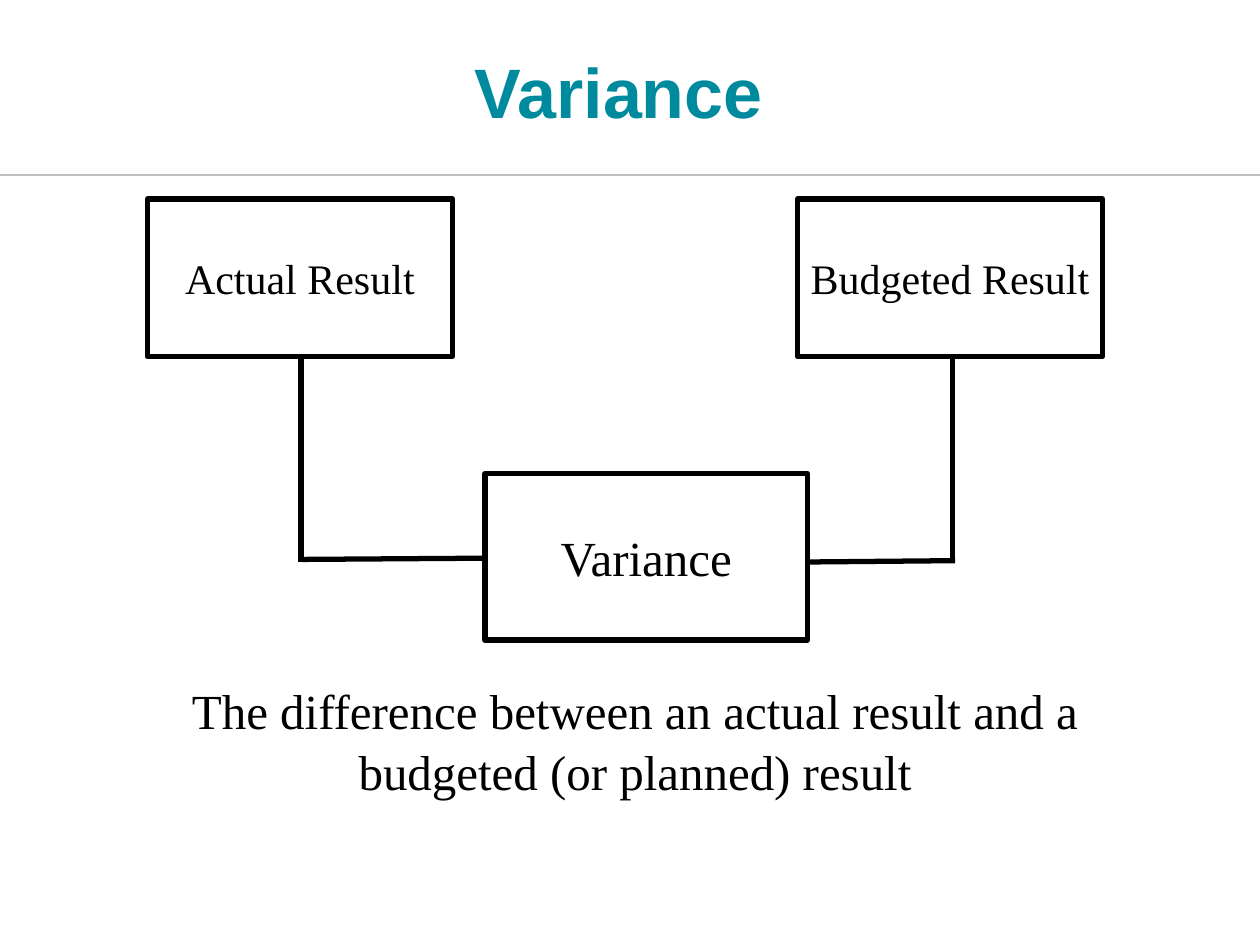
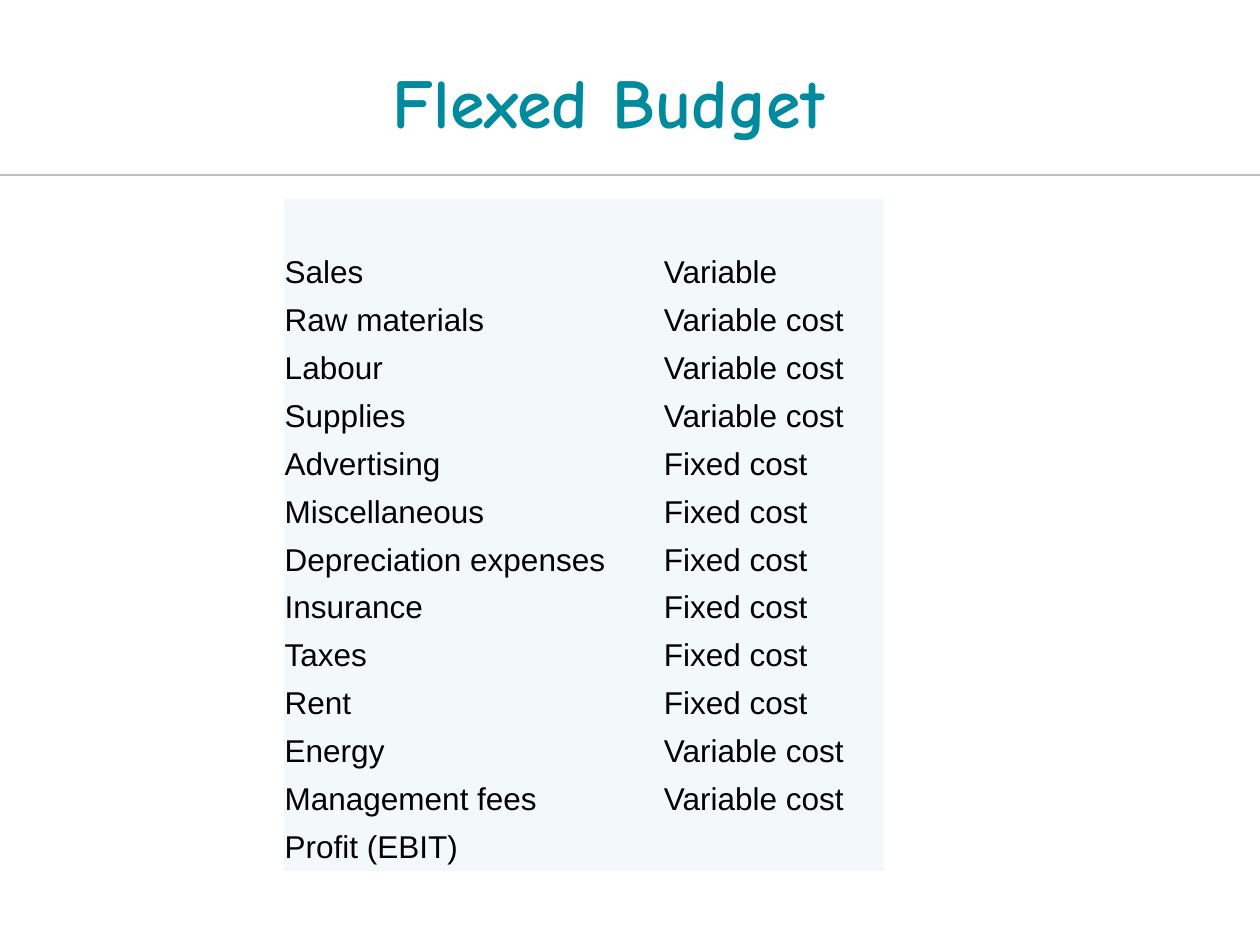
from lxml.etree import SubElement
from pptx import Presentation
from pptx.dml.color import RGBColor
from pptx.enum.shapes import MSO_CONNECTOR, MSO_SHAPE
from pptx.enum.text import MSO_ANCHOR, PP_ALIGN
from pptx.oxml.ns import qn
from pptx.util import Inches, Pt

COLOURS = {
    "title": "008A9E",
    "text": "000000",
    "divider": "BFBFBF",
    "table": "F3F9FA",
}
BODY_FONT = "Times New Roman"
TABLE_FONT = "Arial"
NO_GRID_STYLE = "{2D5ABB26-0587-4C30-8999-92F81FD0307C}"

presentation = Presentation()
presentation.slide_width = Inches(10)
presentation.slide_height = Inches(7.5)
column = presentation.slide_width / 100
row = presentation.slide_height / 100


def write(paragraph, text, font, size, colour="text", bold=False, align=PP_ALIGN.CENTER):
    paragraph.alignment = align
    run = paragraph.add_run()
    run.text = text
    run.font.name = font
    run.font.size = Pt(size)
    run.font.bold = bold
    run.font.color.rgb = RGBColor.from_string(COLOURS[colour])


def draw_line(slide, start, end, colour, weight):
    points = [round(value * unit) for value, unit in zip(start + end, (column, row) * 2)]
    connector = slide.shapes.add_connector(MSO_CONNECTOR.STRAIGHT, *points)
    connector.line.color.rgb = RGBColor.from_string(COLOURS[colour])
    connector.line.width = Pt(weight)
    SubElement(connector._element.spPr, qn("a:effectLst"))
    return connector


title_layout = presentation.slide_layouts[5]
titles = [
    ("Variance", "Arial", 8.3, 4.4, 81.6, 10.27),
    ("Flexed Budget", "Comic Neue", 3.3, 2.27, 90, 16.67),
]
slides = []
for text, font, left, top, width, height in titles:
    slide = presentation.slides.add_slide(title_layout)
    title = slide.shapes.title
    title.left, title.top = round(left * column), round(top * row)
    title.width, title.height = round(width * column), round(height * row)
    title.text_frame.vertical_anchor = MSO_ANCHOR.MIDDLE
    write(title.text_frame.paragraphs[0], text, font, 40, "title", True)
    slides.append(slide)
variance_slide, budget_slide = slides

divider = draw_line(variance_slide, (0, 18.53), (100, 18.53), "divider", 0.75)
title_layout.shapes._spTree.append(divider._element)

result_boxes = [
    ("Actual Result", 24, 11.7, 21.07, 24.2, 16.67),
    ("Budgeted Result", 24, 63.3, 21.07, 24.2, 16.67),
    ("Variance", 28, 38.5, 50.13, 25.6, 17.6),
]
for text, size, left, top, width, height in result_boxes:
    shape = variance_slide.shapes.add_shape(
        MSO_SHAPE.RECTANGLE,
        round(left * column), round(top * row), round(width * column), round(height * row),
    )
    shape.shadow.inherit = False
    shape.fill.background()
    shape.line.color.rgb = RGBColor.from_string(COLOURS["text"])
    shape.line.width = Pt(3)
    shape.text_frame.word_wrap = False
    shape.text_frame.vertical_anchor = MSO_ANCHOR.MIDDLE
    write(shape.text_frame.paragraphs[0], text, BODY_FONT, size)

branches = [
    ((23.9, 37.47), (23.9, 59.47)),
    ((24, 59.2), (38.6, 59.07)),
    ((64.1, 59.47), (75.8, 59.33)),
    ((75.6, 38), (75.6, 59.6)),
]
for start, end in branches:
    draw_line(variance_slide, start, end, "text", 3)

definition = variance_slide.shapes.add_textbox(
    round(13.3 * column), round(71.2 * row), round(74.2 * column), round(13.87 * row)
)
definition.text_frame.word_wrap = True
paragraph = definition.text_frame.paragraphs[0]
paragraph.line_spacing = 1.03
write(
    paragraph,
    "The difference between an actual result and a budgeted (or planned) result",
    BODY_FONT, 28,
)

budget_rows = [
    ("", ""),
    ("Sales", "Variable"),
    ("Raw materials", "Variable cost"),
    ("Labour", "Variable cost"),
    ("Supplies", "Variable cost"),
    ("Advertising", "Fixed cost"),
    ("Miscellaneous", "Fixed cost"),
    ("Depreciation expenses", "Fixed cost"),
    ("Insurance", "Fixed cost"),
    ("Taxes", "Fixed cost"),
    ("Rent", "Fixed cost"),
    ("Energy", "Variable cost"),
    ("Management fees", "Variable cost"),
    ("Profit (EBIT)", ""),
]
column_shares = (30.1, 17.6)
row_share = 5.07
table = budget_slide.shapes.add_table(
    len(budget_rows), len(column_shares),
    round(22.5 * column), round(21.07 * row),
    round(sum(column_shares) * column), round(len(budget_rows) * row_share * row),
).table
table.first_row = False
table.horz_banding = False
table._tbl.tblPr.find(qn("a:tableStyleId")).text = NO_GRID_STYLE
for table_column, share in zip(table.columns, column_shares):
    table_column.width = round(share * column)
for table_row, texts in zip(table.rows, budget_rows):
    table_row.height = round(row_share * row)
    for cell, text in zip(table_row.cells, texts):
        cell.fill.solid()
        cell.fill.fore_color.rgb = RGBColor.from_string(COLOURS["table"])
        cell.vertical_anchor = MSO_ANCHOR.BOTTOM
        cell.margin_left = cell.margin_right = Inches(0.01)
        cell.margin_top = cell.margin_bottom = Inches(0.04)
        paragraph = cell.text_frame.paragraphs[0]
        if text:
            write(paragraph, text, TABLE_FONT, 18, align=PP_ALIGN.LEFT)
        else:
            paragraph.font.size = Pt(18)

presentation.save("out.pptx")
